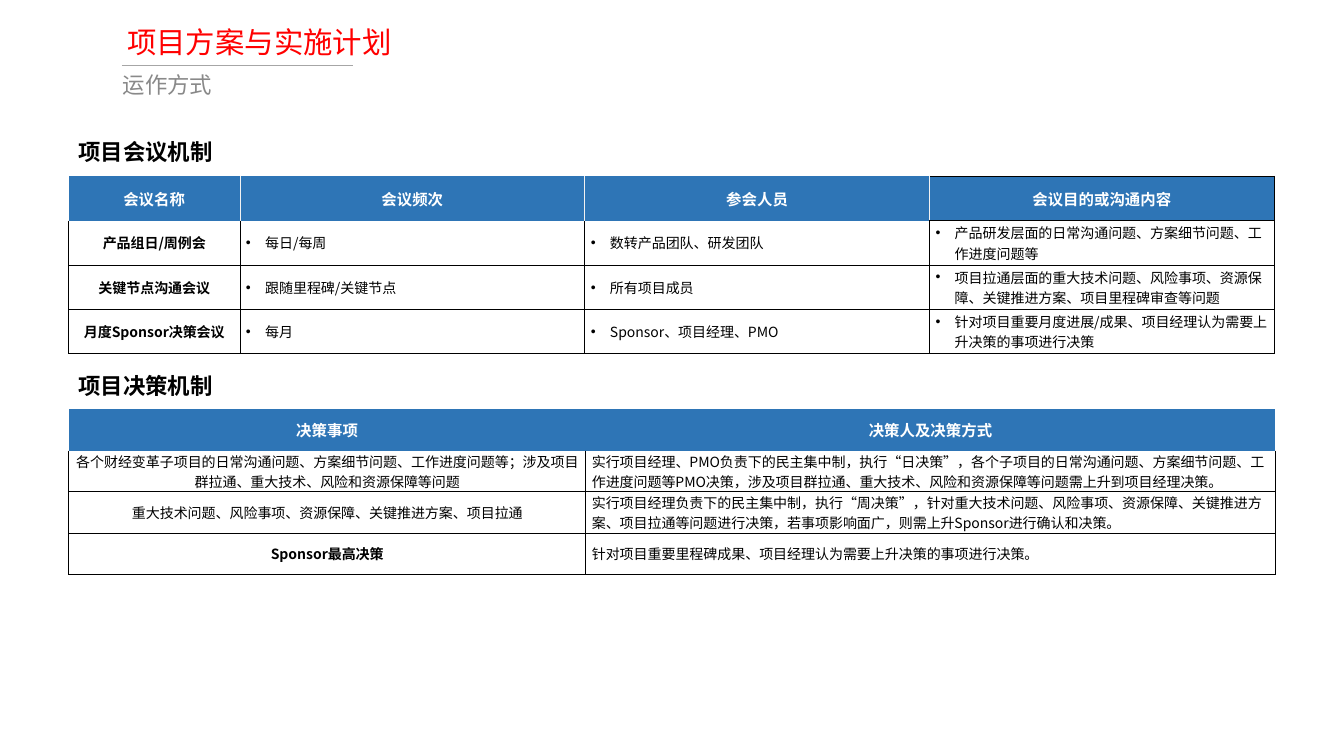
from lxml.etree import SubElement
from pptx import Presentation
from pptx.dml.color import RGBColor
from pptx.enum.shapes import MSO_CONNECTOR
from pptx.enum.text import MSO_ANCHOR, PP_ALIGN
from pptx.oxml.ns import qn
from pptx.util import Inches, Pt

FONT = "Noto Sans CJK SC"
RED = RGBColor(0xFF, 0x00, 0x00)
GRAY = RGBColor(0x89, 0x89, 0x89)
RULE_GRAY = RGBColor(0xA6, 0xA6, 0xA6)
PALE = RGBColor(0xF2, 0xF2, 0xF2)
BLUE = RGBColor(0x2E, 0x75, 0xB6)
BLACK = RGBColor(0x00, 0x00, 0x00)
WHITE = RGBColor(0xFF, 0xFF, 0xFF)

LEFT, WIDTH = 0.68, 11.97
PLAIN_TABLE_STYLE = "{2D5ABB26-0587-4C30-8999-92F81FD0307C}"
BODY_BORDERS = {"L": BLACK, "R": BLACK, "B": BLACK}

MEETING_ROWS = [
    ["会议名称", "会议频次", "参会人员", "会议目的或沟通内容"],
    ["产品组日/周例会", "每日/每周", "数转产品团队、研发团队",
     "产品研发层面的日常沟通问题、方案细节问题、工作进度问题等"],
    ["关键节点沟通会议", "跟随里程碑/关键节点", "所有项目成员",
     "项目拉通层面的重大技术问题、风险事项、资源保障、关键推进方案、项目里程碑审查等问题"],
    ["月度Sponsor决策会议", "每月", "Sponsor、项目经理、PMO",
     "针对项目重要月度进展/成果、项目经理认为需要上升决策的事项进行决策"],
]
MEETING_HEADER_BORDERS = [
    {"R": PALE},
    {"L": PALE, "R": PALE},
    {"L": PALE},
    {"T": BLACK, "R": BLACK, "B": BLACK},
]
DECISION_ROWS = [
    ["决策事项", "决策人及决策方式"],
    ["各个财经变革子项目的日常沟通问题、方案细节问题、工作进度问题等；涉及项目群拉通、重大技术、风险和资源保障等问题",
     "实行项目经理、PMO负责下的民主集中制，执行“日决策”，各个子项目的日常沟通问题、方案细节问题、"
     "工作进度问题等PMO决策，涉及项目群拉通、重大技术、风险和资源保障等问题需上升到项目经理决策。"],
    ["重大技术问题、风险事项、资源保障、关键推进方案、项目拉通",
     "实行项目经理负责下的民主集中制，执行“周决策”，针对重大技术问题、风险事项、资源保障、关键推进方案、"
     "项目拉通等问题进行决策，若事项影响面广，则需上升Sponsor进行确认和决策。"],
    ["Sponsor最高决策", "针对项目重要里程碑成果、项目经理认为需要上升决策的事项进行决策。"],
]


def write_text(paragraph, text, size, color, bold=False):
    """Fill a paragraph and set its Latin and East Asian font."""
    paragraph.text = text
    font = paragraph.font
    font.name, font.size, font.bold = FONT, Pt(size), bold
    font.color.rgb = color
    properties = paragraph._p.pPr.find(qn("a:defRPr"))
    SubElement(properties, qn("a:ea"), typeface=FONT)


def add_text(slide, left, top, width, height, text, size, color, bold=False, wrap=True):
    """Add a one-line text box and return its text frame."""
    shape = slide.shapes.add_textbox(Inches(left), Inches(top), Inches(width), Inches(height))
    frame = shape.text_frame
    frame.word_wrap = wrap
    write_text(frame.paragraphs[0], text, size, color, bold)
    return frame


def add_rule(slide, left, right, top):
    """Add the thin horizontal line under the title."""
    line = slide.shapes.add_connector(
        MSO_CONNECTOR.STRAIGHT, Inches(left), Inches(top), Inches(right), Inches(top))
    line.line.color.rgb = RULE_GRAY
    line.line.width = Pt(0.5)
    SubElement(line._element.spPr, qn("a:effectLst"))


def set_borders(cell, borders):
    """Draw the given cell sides in their colours."""
    properties = cell._tc.get_or_add_tcPr()
    sides = [side for side in "LRTB" if side in borders]
    for position, side in enumerate(sides):
        line = SubElement(properties, qn(f"a:ln{side}"), w=str(Pt(0.75)))
        fill = SubElement(line, qn("a:solidFill"))
        SubElement(fill, qn("a:srgbClr"), val=str(borders[side]))
        properties.insert(position, line)


def add_bullet(paragraph):
    """Give a paragraph a hanging round bullet."""
    paragraph.space_before = Pt(5)
    properties = paragraph._p.get_or_add_pPr()
    properties.set("marL", str(Inches(0.19)))
    properties.set("indent", str(-Inches(0.19)))
    SubElement(properties, qn("a:buFont"), typeface="Arial")
    SubElement(properties, qn("a:buChar"), char="•")


def fill_cell(cell, text, size, color, bold, centered, bulleted, borders):
    """Write one table cell with its margins, text and borders."""
    cell.margin_left = cell.margin_right = Inches(0.06)
    cell.margin_top = cell.margin_bottom = 0
    cell.vertical_anchor = MSO_ANCHOR.MIDDLE
    paragraph = cell.text_frame.paragraphs[0]
    if bulleted:
        add_bullet(paragraph)
    write_text(paragraph, text, size, color, bold)
    paragraph.alignment = PP_ALIGN.CENTER if centered else PP_ALIGN.LEFT
    set_borders(cell, borders)


def add_grid(slide, top, row_height, widths, rows, header_borders, bold_rows, bulleted):
    """Add a table with a blue header and a centred first column."""
    shape = slide.shapes.add_table(
        len(rows), len(widths), Inches(LEFT), Inches(top),
        Inches(WIDTH), Inches(row_height * len(rows)))
    table = shape.table
    table.first_row = table.horz_banding = False
    table._tbl.tblPr.find(qn("a:tableStyleId")).text = PLAIN_TABLE_STYLE
    for column, width in zip(table.columns, widths):
        column.width = Inches(width)
    for row_index, texts in enumerate(rows):
        table.rows[row_index].height = Inches(row_height)
        for column_index, text in enumerate(texts):
            cell = table.cell(row_index, column_index)
            first = column_index == 0
            if row_index == 0:
                cell.fill.solid()
                cell.fill.fore_color.rgb = BLUE
                fill_cell(cell, text, 11, WHITE, True, True, False,
                          header_borders[column_index])
            else:
                cell.fill.background()
                fill_cell(cell, text, 10, BLACK, first and row_index in bold_rows, first,
                          bulleted and not first, BODY_BORDERS)


def main():
    """Build the slide on meeting and decision mechanisms."""
    presentation = Presentation()
    presentation.slide_width, presentation.slide_height = Inches(13.33), Inches(7.5)
    slide = presentation.slides.add_slide(presentation.slide_layouts[6])

    add_rule(slide, 1.21, 3.5, 0.65)
    title = add_text(slide, 1.23, 0.21, 2.71, 0.41, "项目方案与实施计划", 21, RED, wrap=False)
    title.margin_left = title.margin_right = Inches(0.03)
    title.margin_top = title.margin_bottom = Inches(0.03)
    title.vertical_anchor = MSO_ANCHOR.MIDDLE
    add_text(slide, 1.12, 0.66, 1.1, 0.37, "运作方式", 16, GRAY, wrap=False)

    add_text(slide, LEFT, 1.32, WIDTH, 0.37, "项目会议机制", 16, BLACK, bold=True)
    add_grid(slide, 1.75, 0.44, [1.7] + [3.42] * 3, MEETING_ROWS,
             MEETING_HEADER_BORDERS, bold_rows=(1, 2, 3), bulleted=True)
    add_text(slide, LEFT, 3.64, WIDTH, 0.37, "项目决策机制", 16, BLACK, bold=True)
    add_grid(slide, 4.06, 0.41, [5.13, 6.84], DECISION_ROWS,
             [{}, {}], bold_rows=(3,), bulleted=False)

    presentation.save("out.pptx")


main()
